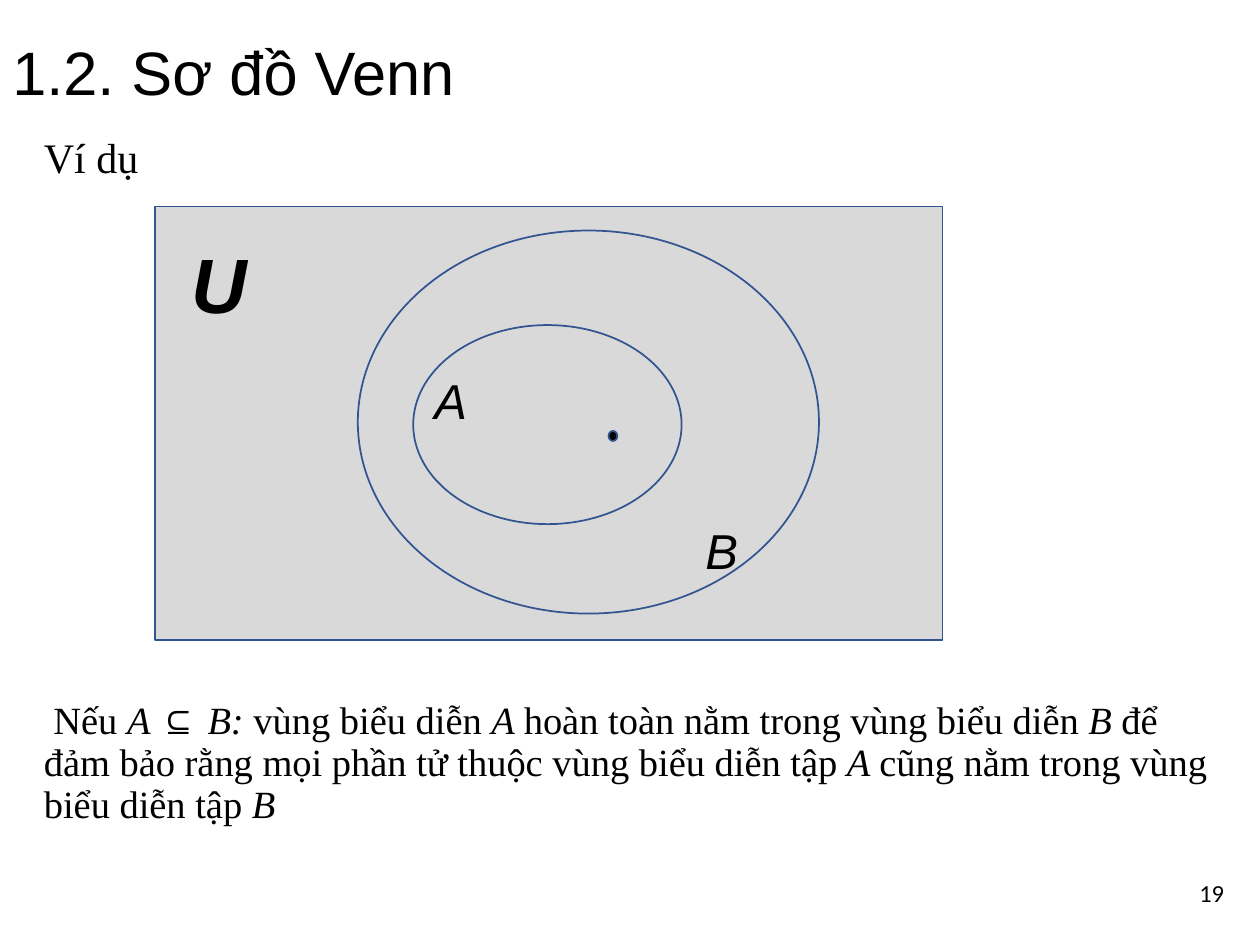
from pptx import Presentation
from pptx.dml.color import RGBColor
from pptx.enum.shapes import MSO_SHAPE as Shape
from pptx.enum.text import MSO_ANCHOR as Anchor
from pptx.util import Inches, Pt

BLACK = RGBColor(0x00, 0x00, 0x00)
GREY = RGBColor(0xD9, 0xD9, 0xD9)
BLUE = RGBColor(0x32, 0x54, 0x91)

TITLE = {"name": "Arial", "size": Pt(35)}
LEAD = {"name": "Times New Roman", "size": Pt(24)}
BODY = {"name": "Times New Roman", "size": Pt(22)}
PAGE = {"name": "Calibri", "size": Pt(14)}
SET = {"name": "Arial", "size": Pt(28), "italic": True}
WORLD = {"name": "Arial", "size": Pt(44), "italic": True, "bold": True}

RULE = [
    " Nếu ", "A ", "⊆ ", "B: ", "vùng biểu diễn ", "A ",
    "hoàn toàn nằm trong vùng biểu diễn ", "B ",
    "để đảm bảo rằng mọi phần tử thuộc vùng biểu diễn tập ", "A ",
    "cũng nằm trong vùng biểu diễn tập ", "B",
]


def add_run(para, text, style):
    run = para.add_run()
    run.text = text
    for key, value in style.items():
        setattr(run.font, key, value)
    run.font.color.rgb = BLACK


def add_text(slide, box, parts, anchor=Anchor.TOP, space=1.0):
    frame = slide.shapes.add_textbox(*map(Inches, box)).text_frame
    frame.word_wrap = True
    frame.vertical_anchor = anchor
    para = frame.paragraphs[0]
    para.line_spacing = space
    for text, style in parts:
        add_run(para, text, style)


def add_area(slide, kind, box, fill=None):
    area = slide.shapes.add_shape(kind, *map(Inches, box))
    area.shadow.inherit = False
    area.line.color.rgb = BLUE
    area.line.width = Pt(1)
    if fill is None:
        area.fill.background()
    else:
        area.fill.solid()
        area.fill.fore_color.rgb = fill


def add_venn(slide):
    add_area(slide, Shape.RECTANGLE, (1.23, 1.64, 6.25, 3.44), GREY)
    add_area(slide, Shape.OVAL, (3.28, 2.58, 2.13, 1.58))
    add_area(slide, Shape.OVAL, (2.84, 1.83, 3.66, 3.04))
    add_area(slide, Shape.OVAL, (4.83, 3.42, 0.07, 0.08), BLACK)
    add_text(slide, (1.42, 1.83, 0.51, 0.84), [("U", WORLD)])
    add_text(slide, (3.35, 2.89, 0.37, 0.57), [("A", SET)])
    add_text(slide, (5.5, 4.08, 0.37, 0.57), [("B", SET)])


def main():
    deck = Presentation()
    deck.slide_width, deck.slide_height = Inches(10), Inches(7.5)
    slide = deck.slides.add_slide(deck.slide_layouts[6])
    add_text(slide, (0, 0.08, 9.75, 0.83), [("1.2. Sơ đồ Venn", TITLE)],
             Anchor.BOTTOM, 0.9)
    add_text(slide, (0.25, 1.04, 9.5, 0.5), [("Ví dụ", LEAD)], space=0.9)
    parts = [(text, {**BODY, "italic": text[0] in "AB"}) for text in RULE]
    add_text(slide, (0.25, 5.52, 9.5, 1.27), parts, space=0.9)
    add_text(slide, (9.42, 6.92, 0.5, 0.4), [("19", PAGE)])
    add_venn(slide)
    deck.save("out.pptx")


if __name__ == "__main__":
    main()
